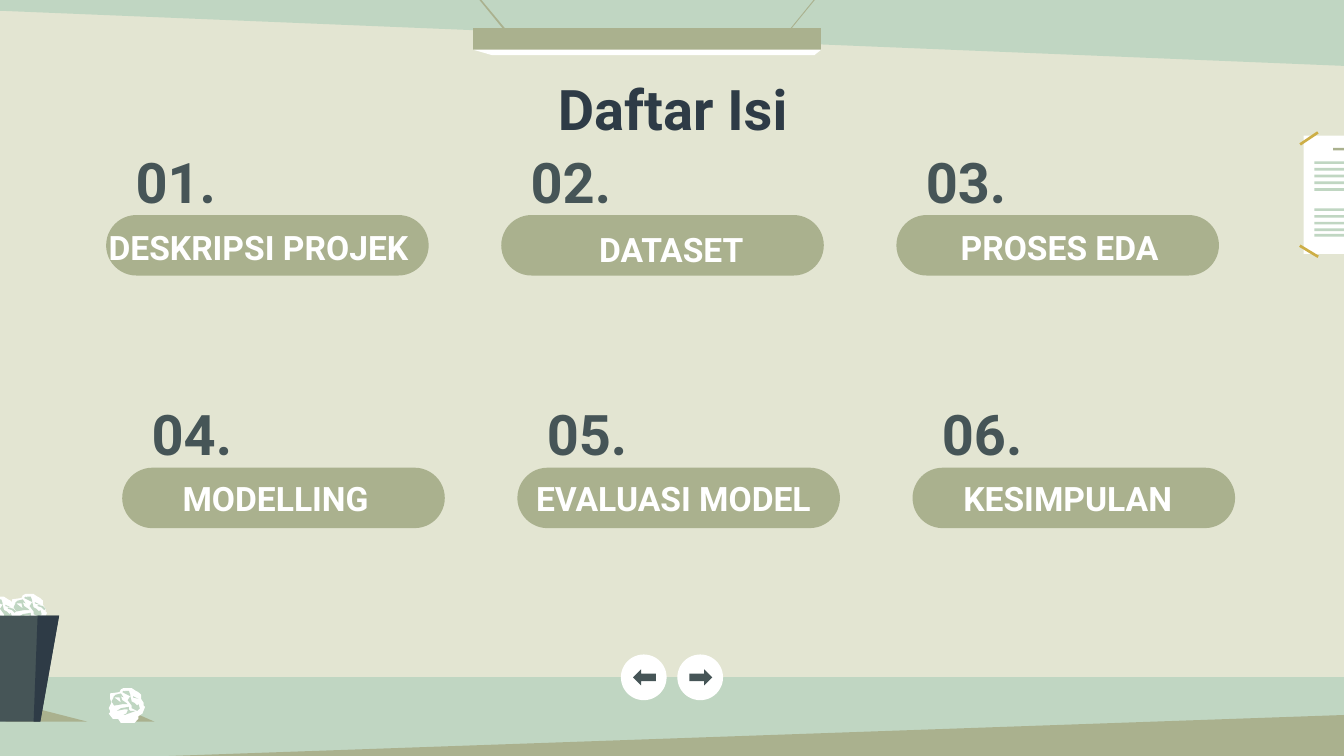
from pptx import Presentation
from pptx.dml.color import RGBColor
from pptx.enum.shapes import MSO_SHAPE
from pptx.enum.text import MSO_ANCHOR, PP_ALIGN
from pptx.util import Emu, Pt

PX = 9144  # one px is a hundredth of an inch
FONT = "Roboto"
COLORS = {
    "cream": "E3E5D2", "mint": "C0D6C2", "olive": "AAB18E", "white": "FFFFFF",
    "slate": "465557", "navy": "2E3B46", "gold": "CDAE46", "lilac": "C0C9F8",
}

# Content: number, heading, left, top and width of the heading
TITLE = "Daftar Isi"
CHAPTERS = [
    ("01.", "DESKRIPSI PROJEK", 71, 165, 260),
    ("02.", "DATASET", 436, 167, 148),
    ("03.", "PROSES EDA", 705, 165, 184),
    ("04.", "MODELLING", 126, 352, 175),
    ("05.", "EVALUASI MODEL", 389, 352, 260),
    ("06.", "KESIMPULAN", 707, 352, 183),
]
COLUMNS, COLUMN_STEP, ROW_STEP, ROW_SHIFT = 3, 294, 188, 12
PILL_LEFT, PILL_TOP = 79, 160

# Room decoration
SCENERY = [
    ("mint", [(0, 504), (0, 566), (1000, 566), (1000, 504)]),
    ("olive", [(-3, 567), (1000, 567), (1000, 532)]),
    ("mint", [(0, 0), (0, 8), (1000, 49), (1000, 0)]),
    ("olive", [(330, -34), (329, -34), (378, 26), (379, 25)]),
    ("olive", [(633, -34), (585, 25), (585, 26), (634, -34)]),
    ("olive", [(352, 21), (352, 37), (611, 37), (611, 21)]),
    ("white", [(352, 37), (366, 41), (606, 41), (611, 37)]),
    ("olive", [(26, 527), (4, 537), (65, 537)]),
    ("olive", [(99, 530), (91, 537), (115, 537)]),
]
BIN = [
    ("slate", [(-20, 458), (-9, 537), (30, 537), (44, 458)]),
    ("navy", [(28, 458), (25, 537), (30, 537), (44, 458)]),
]
PAPER = [("white", [(970, 101), (970, 189), (1035, 189), (1035, 116), (1019, 101)])]
PAPER_LINES = [120, 125, 130, 135, 140, 155, 160, 165, 170, 174]
TAPES = [(186, 31.2), (102, 326.1)]

# Crumpled paper ball, measured from its own top left corner
BALL = {
    "outline": ("white", [
        (11, 0), (9, 1), (8, 3), (1, 4), (1, 8), (2, 11), (0, 15), (1, 17), (1, 18),
        (0, 19), (3, 23), (5, 23), (7, 23), (9, 26), (19, 26), (22, 23), (22, 21),
        (25, 19), (27, 14), (26, 13), (26, 11), (24, 8), (24, 5), (22, 3), (20, 2),
        (17, 0)]),
    "left": ("mint", [
        (9, 4), (5, 5), (3, 7), (6, 7), (8, 7), (9, 11), (8, 10), (4, 7), (3, 8),
        (2, 10), (4, 13), (10, 12), (14, 12), (13, 11), (10, 9), (9, 6), (11, 7)]),
    "middle": ("mint", [
        (15, 14), (9, 15), (6, 17), (11, 16), (14, 16), (14, 17), (13, 19), (11, 20),
        (12, 20), (20, 17), (16, 17), (15, 16)]),
    "top": ("mint", [
        (13, 2), (12, 2), (15, 4), (11, 2), (10, 3), (12, 4), (16, 6), (16, 5), (15, 2)]),
    "notch": ("lilac", [(2, 17), (2, 18), (1, 19), (4, 19), (3, 18)]),
    "base": ("lilac", [
        (21, 19), (17, 22), (13, 22), (9, 23), (14, 24), (16, 23), (20, 20)]),
    "nick": ("mint", [(18, 6), (18, 7), (22, 8)]),
    "rim": ("mint", [
        (20, 8), (20, 9), (23, 10), (24, 11), (25, 12), (26, 11), (24, 9)]),
    "right": ("mint", [
        (16, 6), (14, 9), (17, 13), (17, 15), (21, 17), (23, 15), (22, 12), (21, 13),
        (19, 11), (17, 10)]),
}
# Left, top and the folds that each ball lacks
BALLS = [
    (8, 442, ()),
    (-14, 444, ("left", "notch")),
    (81, 512, ("notch", "base", "rim")),
]


def px(length):
    return Emu(round(length * PX))


def color(name):
    return RGBColor.from_string(COLORS[name])


def paint(shape, name):
    shape.shadow.inherit = False
    shape.fill.solid()
    shape.fill.fore_color.rgb = color(name)
    shape.line.fill.background()


def add_preset(kind, name, left, top, width, height, rotation=0):
    shape = slide.shapes.add_shape(kind, px(left), px(top), px(width), px(height))
    shape.rotation = rotation
    paint(shape, name)
    return shape


def draw_outlines(outlines, left=0, top=0):
    for name, points in outlines:
        corners = [(x + left, y + top) for x, y in points]
        builder = slide.shapes.build_freeform(*corners[0], scale=PX)
        builder.add_line_segments(corners[1:], close=True)
        paint(builder.convert_to_shape(), name)


def write(box, words, size, name, align=PP_ALIGN.LEFT):
    frame = box.text_frame
    frame.word_wrap = True
    frame.vertical_anchor = MSO_ANCHOR.MIDDLE
    frame.margin_left = frame.margin_right = px(10)
    frame.margin_top = frame.margin_bottom = px(10)
    paragraph = frame.paragraphs[0]
    paragraph.alignment = align
    paragraph.line_spacing = 1.0
    run = paragraph.add_run()
    run.text = words
    run.font.name = FONT
    run.font.size = Pt(size)
    run.font.bold = True
    run.font.color.rgb = color(name)


def add_words(words, size, name, left, top, width, height):
    box = slide.shapes.add_textbox(px(left), px(top), px(width), px(height))
    write(box, words, size, name)


deck = Presentation()
deck.slide_width, deck.slide_height = px(1000), px(562.5)
slide = deck.slides.add_slide(deck.slide_layouts[5])
slide.background.fill.solid()
slide.background.fill.fore_color.rgb = color("cream")

# Room, paper balls, bin and note on the wall
draw_outlines(SCENERY)
for left, top, missing in BALLS:
    draw_outlines([fold for part, fold in BALL.items() if part not in missing], left, top)
draw_outlines(BIN)
draw_outlines(PAPER)
add_preset(MSO_SHAPE.RECTANGLE, "olive", 992, 110, 20, 2)
for top in PAPER_LINES:
    add_preset(MSO_SHAPE.RECTANGLE, "mint", 978, top, 49, 2)
for top, rotation in TAPES:
    add_preset(MSO_SHAPE.RECTANGLE, "gold", 966, top, 16, 2, rotation)

# Title
heading = slide.shapes.title
heading.left, heading.top, heading.width, heading.height = px(79), px(58), px(843), px(45)
write(heading, TITLE, 30, "navy", PP_ALIGN.CENTER)

# Chapters
for index, (number, chapter, left, top, width) in enumerate(CHAPTERS):
    row, column = divmod(index, COLUMNS)
    pill_left = PILL_LEFT + column * COLUMN_STEP + row * ROW_SHIFT
    pill_top = PILL_TOP + row * ROW_STEP
    pill = add_preset(MSO_SHAPE.ROUNDED_RECTANGLE, "olive", pill_left, pill_top, 240, 45)
    pill.adjustments[0] = 0.5
    add_words(number, 30, "slate", pill_left + 12, pill_top - 48, 102, 45)
    add_words(chapter, 18, "white", left, top, width, 37)

# Back and forward buttons
for left, rotation in [(462, 180), (504, 0)]:
    add_preset(MSO_SHAPE.OVAL, "white", left, 487, 34, 34, rotation)
    arrow = add_preset(MSO_SHAPE.RIGHT_ARROW, "slate", left + 9, 498, 17, 12, rotation)
    arrow.adjustments[0] = 0.46

deck.save("out.pptx")
